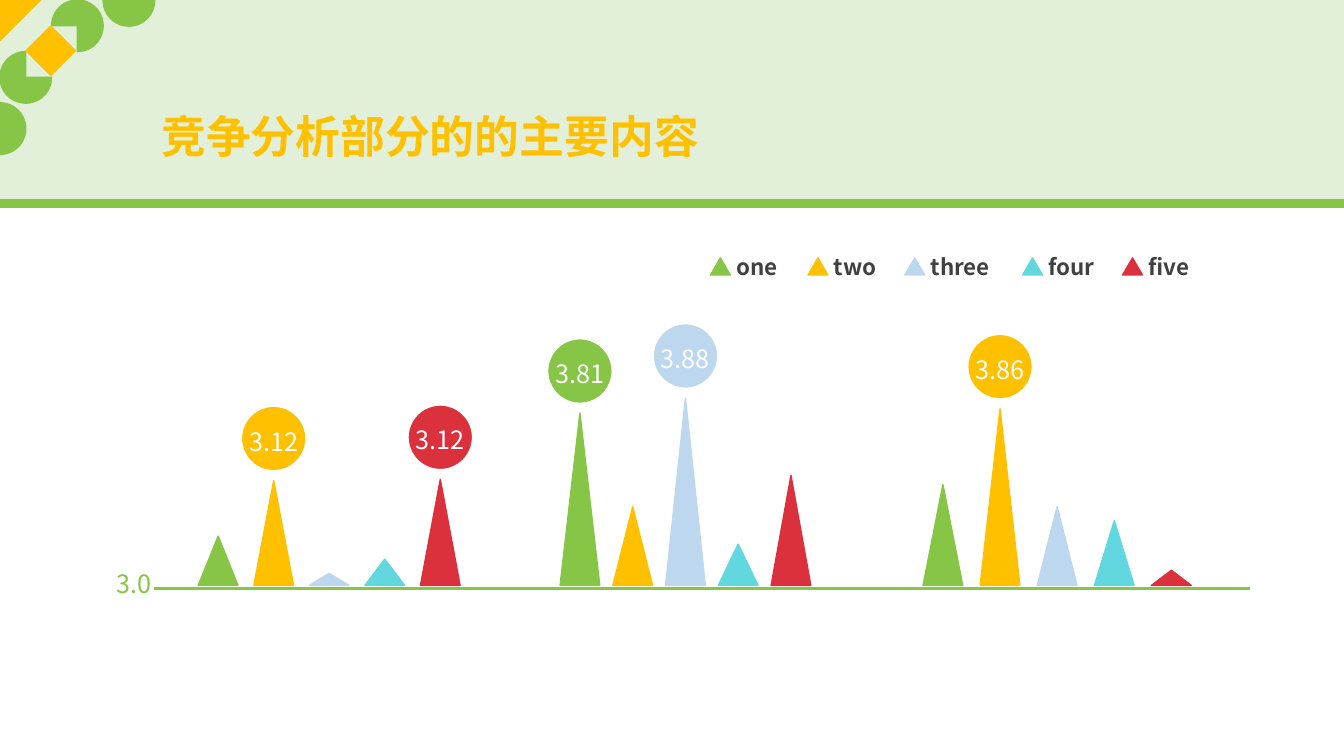
from lxml.etree import SubElement
from pptx import Presentation
from pptx.dml.color import RGBColor
from pptx.enum.shapes import MSO_CONNECTOR, MSO_SHAPE as Preset
from pptx.enum.text import MSO_ANCHOR as Anchor, MSO_AUTO_SIZE, PP_ALIGN as Align
from pptx.oxml.ns import qn
from pptx.util import Cm, Pt

FONT = "Noto Sans CJK SC"
GREEN = RGBColor(0x87, 0xC5, 0x46)
GOLD = RGBColor(0xFF, 0xC0, 0x00)
BLUE = RGBColor(0xBD, 0xD7, 0xEE)
CYAN = RGBColor(0x62, 0xD7, 0xE0)
RED = RGBColor(0xDB, 0x31, 0x3D)
PALE = RGBColor(0xE2, 0xF0, 0xD9)
GREY = RGBColor(0x40, 0x40, 0x40)
WHITE = RGBColor(0xFF, 0xFF, 0xFF)

TITLE = "竞争分析部分的的主要内容"
AXIS_LABEL = "3.0"
SERIES = [("one", GREEN, 17.91), ("two", GOLD, 20.37), ("three", BLUE, 22.81),
          ("four", CYAN, 25.78), ("five", RED, 28.3)]
GROUPS = [
    {"left": 5.0, "step": 1.4, "heights": [1.24, 2.64, 0.3, 0.66, 2.67],
     "scores": {1: "3.12", 4: "3.12"}},
    {"left": 14.12, "step": 1.33, "heights": [4.34, 1.98, 4.72, 1.04, 2.77],
     "scores": {0: "3.81", 2: "3.88"}},
    {"left": 23.27, "step": 1.44, "heights": [2.54, 4.45, 1.98, 1.63, 0.38],
     "scores": {1: "3.86"}},
]
PETALS = [(0, 1.3, 0), (1.3, 0, 180), (-0.65, 2.59, 180), (2.6, -0.64, 0)]

SLIDE_WIDTH, SLIDE_HEIGHT = 33.88, 19.05
PEAK_BASE, PEAK_WIDTH = 14.75, 1.0
BUBBLE, BUBBLE_RISE = 1.7, 1.91
PETAL = 1.3


def draw(slide, preset, left, top, width, height, fill, border=None, border_width=1, turn=0):
    """Add a filled preset shape, measured in centimetres."""
    shape = slide.shapes.add_shape(preset, Cm(left), Cm(top), Cm(width), Cm(height))
    shape.shadow.inherit = False
    shape.fill.solid()
    shape.fill.fore_color.rgb = fill
    shape.line.color.rgb = border or fill
    shape.line.width = Pt(border_width)
    shape.rotation = turn
    return shape


def rule(slide, left, right, y, weight):
    """Add a horizontal green line."""
    line = slide.shapes.add_connector(MSO_CONNECTOR.STRAIGHT, Cm(left), Cm(y), Cm(right), Cm(y))
    line.line.color.rgb = GREEN
    line.line.width = Pt(weight)
    SubElement(line.element.spPr, qn("a:effectLst"))


def write(frame, text, size=18, color=WHITE, bold=False, align=Align.LEFT,
          anchor=Anchor.TOP, wrap=True):
    """Fill a text frame with one formatted line."""
    frame.word_wrap = wrap
    frame.auto_size = MSO_AUTO_SIZE.NONE
    frame.vertical_anchor = anchor
    paragraph = frame.paragraphs[0]
    paragraph.alignment = align
    run = paragraph.add_run()
    run.text = text
    run.font.name = FONT
    run.font.size = Pt(size)
    run.font.bold = bold
    run.font.color.rgb = color
    SubElement(run._r.get_or_add_rPr(), qn("a:ea"), typeface=FONT)


def label(slide, text, left, top, width, height, **style):
    """Add a text box, measured in centimetres."""
    box = slide.shapes.add_textbox(Cm(left), Cm(top), Cm(width), Cm(height))
    write(box.text_frame, text, **style)


def add_corner(slide):
    """Draw the corner ornament."""
    for left, top, turn in PETALS:
        draw(slide, Preset.PIE, left, top, PETAL, PETAL, GREEN, turn=turn)
    draw(slide, Preset.DIAMOND, 0.66, 0.66, 1.24, 1.24, GOLD)
    draw(slide, Preset.RIGHT_TRIANGLE, 0, 0, 1.02, 1.02, GOLD, turn=90)


def add_peaks(slide, left, step, heights, scores):
    """Draw one group of peaks with bubbles above the scored ones."""
    for index, height in enumerate(heights):
        color = SERIES[index][1]
        peak_left, apex = left + index * step, PEAK_BASE - height
        draw(slide, Preset.ISOSCELES_TRIANGLE, peak_left, apex, PEAK_WIDTH, height, color)
        if index in scores:
            bubble_left = peak_left + (PEAK_WIDTH - BUBBLE) / 2
            bubble = draw(slide, Preset.OVAL, bubble_left, apex - BUBBLE_RISE,
                          BUBBLE, BUBBLE, color, border=WHITE, border_width=3)
            frame = bubble.text_frame
            frame.margin_left = frame.margin_right = frame.margin_bottom = 0
            frame.margin_top = Cm(0.13)
            write(frame, scores[index], align=Align.CENTER, anchor=Anchor.MIDDLE, wrap=False)


def main():
    """Build and save the slide."""
    deck = Presentation()
    deck.slide_width, deck.slide_height = Cm(SLIDE_WIDTH), Cm(SLIDE_HEIGHT)
    slide = deck.slides.add_slide(deck.slide_layouts[5])

    draw(slide, Preset.RECTANGLE, 0, -0.05, SLIDE_WIDTH, 5.08, PALE)
    add_corner(slide)
    rule(slide, 0, SLIDE_WIDTH, 5.13, 6)

    title = slide.shapes.title
    title.left, title.top, title.width, title.height = Cm(3.81), Cm(2.6), Cm(15), Cm(1.63)
    write(title.text_frame, TITLE, size=32, color=GOLD, bold=True)
    title.element.getparent().append(title.element)

    for name, color, left in SERIES:
        draw(slide, Preset.ISOSCELES_TRIANGLE, left, 6.5, 0.5, 0.43, color)
        label(slide, name, left + 0.4, 6.25, 2.35, 0.94, size=16, color=GREY, bold=True)

    for group in GROUPS:
        add_peaks(slide, **group)
    rule(slide, 3.89, 31.5, 14.83, 2.25)
    label(slide, AXIS_LABEL, 2.69, 14.2, 1.52, 1.02, color=GREEN)

    deck.save("out.pptx")


if __name__ == "__main__":
    main()
